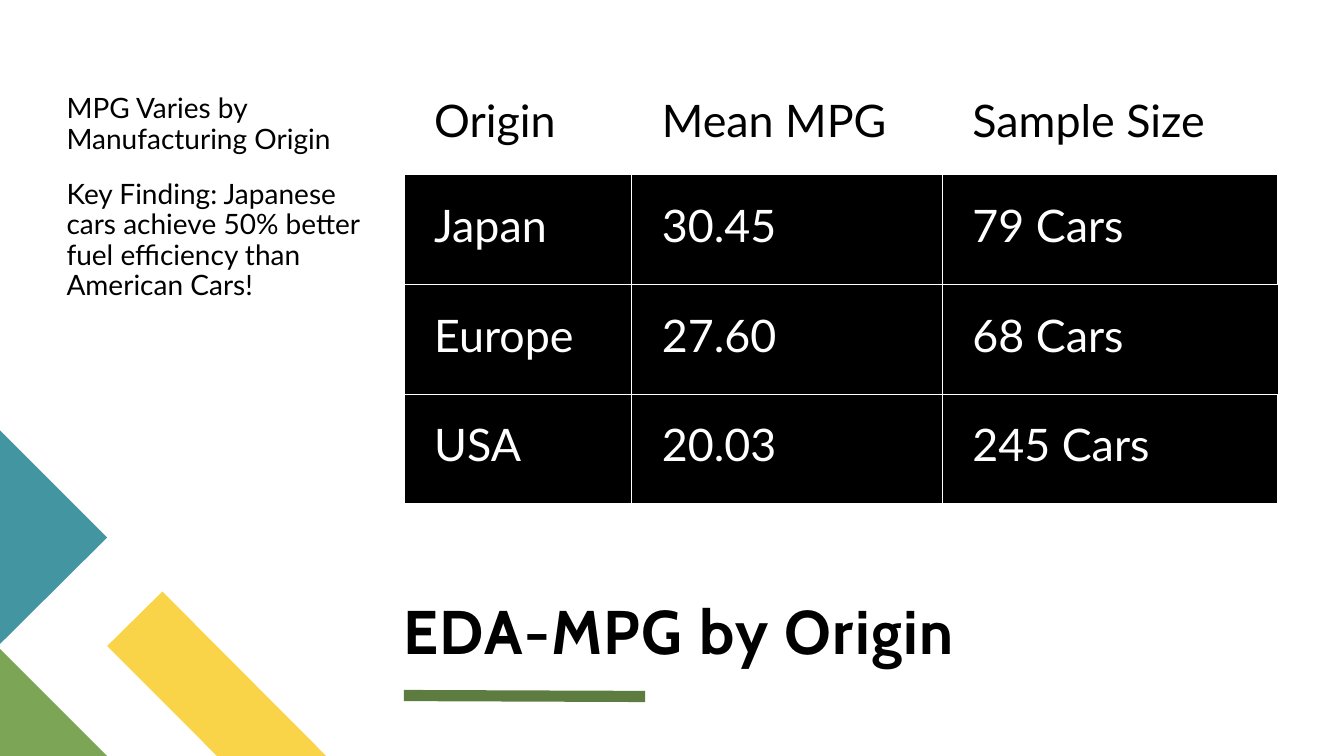
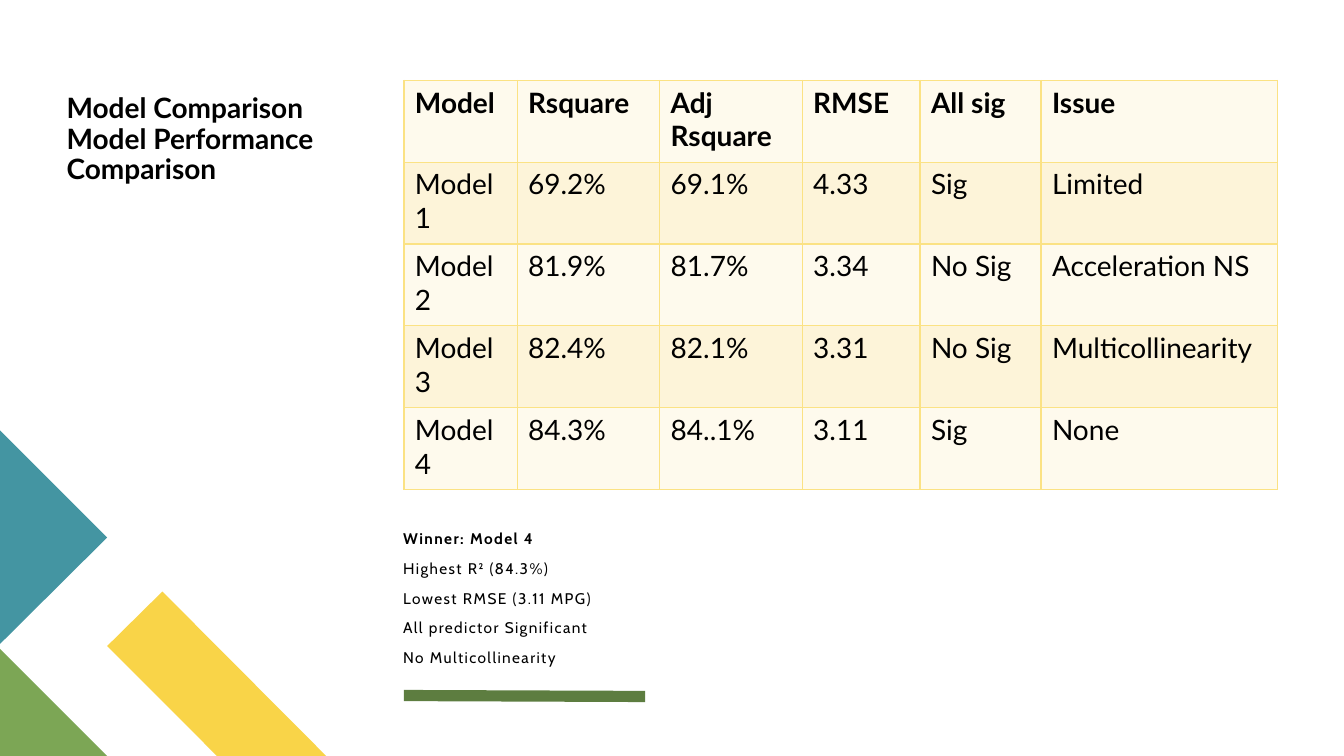
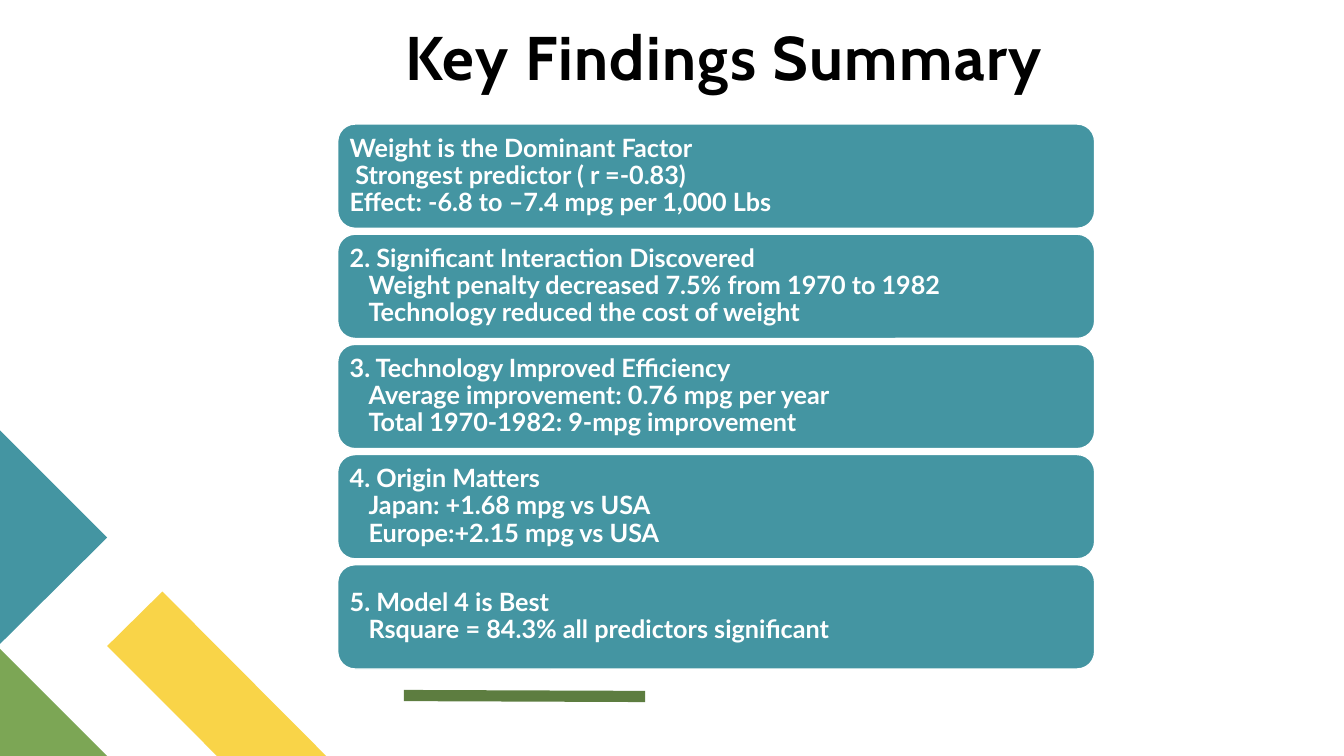
from lxml.etree import SubElement
from pptx import Presentation
from pptx.dml.color import RGBColor
from pptx.enum.shapes import MSO_CONNECTOR, MSO_SHAPE
from pptx.enum.text import MSO_ANCHOR
from pptx.oxml.ns import qn
from pptx.util import Pt

HUES = {
    "ink": "000000", "white": "FFFFFF", "teal": "4495A2", "green": "7CA655",
    "moss": "5D7D40", "gold": "F9D448", "rule": "FBE284",
    "cream": "FEFAED", "sand": "FDF4D9",
}
PLAIN = "{2D5ABB26-0587-4C30-8999-92F81FD0307C}"
DECOR = {
    "gold": [(233, 540), (155, 540), (76.5, 461.5), (116, 422.5)],
    "green": [(76.5, 540), (0, 540), (0, 463.5)],
    "teal": [(0, 307.5), (76.5, 384), (0, 460)],
}
HEAD, BODY = "Cabin", "Lato"
LEFT = 288.5


class Deck:
    """Holds the shared style and the slide being built."""

    def __init__(self):
        self.file = Presentation()
        self.file.slide_width, self.file.slide_height = Pt(960), Pt(540)
        self.slide = None

    def hue(self, name):
        return RGBColor.from_string(HUES[name])

    def paint(self, part, name):
        part.fill.solid()
        part.fill.fore_color.rgb = self.hue(name)

    def start(self):
        self.slide = self.file.slides.add_slide(self.file.slide_layouts[6])
        for name, points in DECOR.items():
            self.poly(name, points)
        self.line(LEFT, 496.8, 460.8, 497.5)

    def poly(self, name, points):
        spots = [(Pt(x), Pt(y)) for x, y in points]
        pen = self.slide.shapes.build_freeform(*spots[0])
        pen.add_line_segments(spots[1:], close=True)
        shape = pen.convert_to_shape()
        shape.shadow.inherit = False
        self.paint(shape, name)
        shape.line.fill.background()

    def line(self, *ends):
        bar = self.slide.shapes.add_connector(MSO_CONNECTOR.STRAIGHT, *map(Pt, ends))
        bar.line.color.rgb = self.hue("moss")
        bar.line.width = Pt(8)
        SubElement(bar._element.spPr, qn("a:effectLst"))

    def frame(self, shape, insets, anchor):
        frame = shape.text_frame
        frame.word_wrap = True
        frame.vertical_anchor = anchor
        (frame.margin_left, frame.margin_top,
         frame.margin_right, frame.margin_bottom) = map(Pt, insets)
        return frame

    def box(self, area, insets=(0, 0, 0, 0), anchor=MSO_ANCHOR.TOP):
        return self.frame(self.slide.shapes.add_textbox(*map(Pt, area)), insets, anchor)

    def para(self, frame, text, size, bold=False, color="ink", font=BODY,
             lead=1.0, gap=0, indent=0, track=0):
        para = frame.paragraphs[0]
        if para.runs:
            para = frame.add_paragraph()
            para.space_before = Pt(gap)
        para.line_spacing = lead
        if indent:
            para._p.get_or_add_pPr().set("marL", str(Pt(indent)))
        run = para.add_run()
        run.text = text
        run.font.name, run.font.size, run.font.bold = font, Pt(size), bold
        run.font.color.rgb = self.hue(color)
        if track:
            run._r.get_or_add_rPr().set("spc", str(track * 100))

    def title(self, area, lines, size=44, gap=0):
        frame = self.box(area, anchor=MSO_ANCHOR.BOTTOM)
        for text, bold in lines:
            self.para(frame, text, size, bold, font=HEAD, lead=0.8, gap=gap, track=1)

    def side(self, lines, bold=False, gap=0):
        frame = self.box((47.5, 46, 222.5, 315), (0, 21.6, 7.2, 3.6))
        for text in lines:
            self.para(frame, text, 20, bold, lead=0.9, gap=gap)

    def card(self, area, lines):
        card = self.slide.shapes.add_shape(MSO_SHAPE.ROUNDED_RECTANGLE, *map(Pt, area))
        card.shadow.inherit = False
        self.paint(card, "teal")
        card.line.color.rgb = self.hue("white")
        card.line.width = Pt(1)
        frame = self.frame(card, (5, 5, 5, 5), MSO_ANCHOR.MIDDLE)
        for text, indent in lines:
            para = (frame, text, 18, True, "white")
            self.para(*para, lead=0.9, indent=indent)
        for para in frame.paragraphs:
            para.alignment = 1

    def edge(self, cell, sides, color):
        tail = cell._tc.get_or_add_tcPr()
        for side in "LRTB":
            if side in sides:
                line = SubElement(tail, qn("a:ln" + side), w=str(Pt(sides[side])))
                fill = SubElement(line, qn("a:solidFill"))
                SubElement(fill, qn("a:srgbClr"), val=HUES[color])

    def table(self, top, cols, high, rows, look):
        area = map(Pt, (LEFT, top, sum(cols), high * len(rows)))
        grid = self.slide.shapes.add_table(len(rows), len(cols), *area).table
        grid._tbl.tblPr.find(qn("a:tableStyleId")).text = PLAIN
        grid.first_row = grid.horz_banding = False
        for col, width in zip(grid.columns, cols):
            col.width = Pt(width)
        for r, row in enumerate(rows):
            grid.rows[r].height = Pt(high)
            for c, text in enumerate(row):
                self.cell(grid.cell(r, c), text, **look(r, c))

    def cell(self, cell, text, fill, sides, rule, insets, anchor=MSO_ANCHOR.TOP, **style):
        (cell.margin_left, cell.margin_top,
         cell.margin_right, cell.margin_bottom) = map(Pt, insets)
        cell.vertical_anchor = anchor
        self.edge(cell, sides, rule)
        self.paint(cell, fill)
        self.para(cell.text_frame, text, **style)


def dark(r, c):
    head = r == 0
    outer = 0.5 if r == 2 else 1.5
    sides = {} if head else {"L": 0.5 if c else outer, "R": 0.5 if c < 2 else outer}
    if r == 1:
        sides["B"] = 0.5
    if r == 2:
        sides["T"] = 0.5
    return dict(fill="white" if head else "ink", color="ink" if head else "white",
                sides=sides, rule="white", size=32, insets=(21.6, 16.6, 16.6, 16.6),
                anchor=MSO_ANCHOR.MIDDLE if head else MSO_ANCHOR.TOP)


def light(r, c):
    return dict(fill="sand" if r % 2 else "cream", sides=dict.fromkeys("LRTB", 1),
                rule="rule", size=20, bold=r == 0, insets=(7.9, 3.6, 7.9, 3.6))


def main():
    deck = Deck()
    base = (288, 367.2, 625, 108.7)

    deck.start()
    deck.title(base, [("EDA-MPG by Origin", True)])
    deck.side(["MPG Varies by Manufacturing Origin",
               "Key Finding: Japanese cars achieve 50% better fuel efficiency "
               "than American Cars!"], gap=18)
    deck.table(46.8, [162.7, 221.8, 239.8], 78.2, [
        ["Origin", "Mean MPG", "Sample Size"],
        ["Japan", "30.45", "79 Cars"],
        ["Europe", "27.60", "68 Cars"],
        ["USA", "20.03", "245 Cars"],
    ], dark)

    deck.start()
    deck.title(base, [
        ("Winner: Model 4", True),
        ("Highest R² (84.3%)", False),
        ("Lowest RMSE (3.11 MPG)", False),
        ("All predictor Significant", False),
        ("No Multicollinearity", False),
    ], size=11, gap=10.6)
    deck.side(["Model Comparison", "Model Performance Comparison"], bold=True)
    deck.table(57.4, [80.9, 101.8, 101.8, 84.2, 86.4, 168.8], 58.45, [
        ["Model", "Rsquare", "Adj Rsquare", "RMSE", "All sig", "Issue"],
        ["Model 1", "69.2%", "69.1%", "4.33", "Sig", "Limited"],
        ["Model 2", "81.9%", "81.7%", "3.34", "No Sig", "Acceleration NS"],
        ["Model 3", "82.4%", "82.1%", "3.31", "No Sig", "Multicollinearity"],
        ["Model 4", "84.3%", "84..1%", "3.11", "Sig", "None"],
    ], light)

    deck.start()
    deck.title((289.5, 19.4, 625, 46.8), [("Key Findings Summary", True)])
    cards = [
        [("Weight is the Dominant Factor", 0), ("Strongest predictor ( r =-0.83)", 4),
         ("Effect: -6.8 to –7.4 mpg per 1,000 Lbs", 0)],
        [("2. Significant Interaction Discovered", 0),
         ("Weight penalty decreased 7.5% from 1970 to 1982", 13.5),
         ("Technology reduced the cost of weight", 13.5)],
        [("3. Technology Improved Efficiency", 0),
         ("Average improvement: 0.76 mpg per year", 13.5),
         ("Total 1970-1982: 9-mpg improvement", 13.5)],
        [("4. Origin Matters", 0), ("Japan: +1.68 mpg vs USA", 13.5),
         ("Europe:+2.15 mpg vs USA", 13.5)],
        [("5. Model 4 is Best", 0),
         ("Rsquare = 84.3% all predictors significant", 13.5)],
    ]
    for n, lines in enumerate(cards):
        deck.card((241.2, 88.6 + n * 78.7, 540.7, 74.5), lines)

    deck.file.save("out.pptx")


if __name__ == "__main__":
    main()
